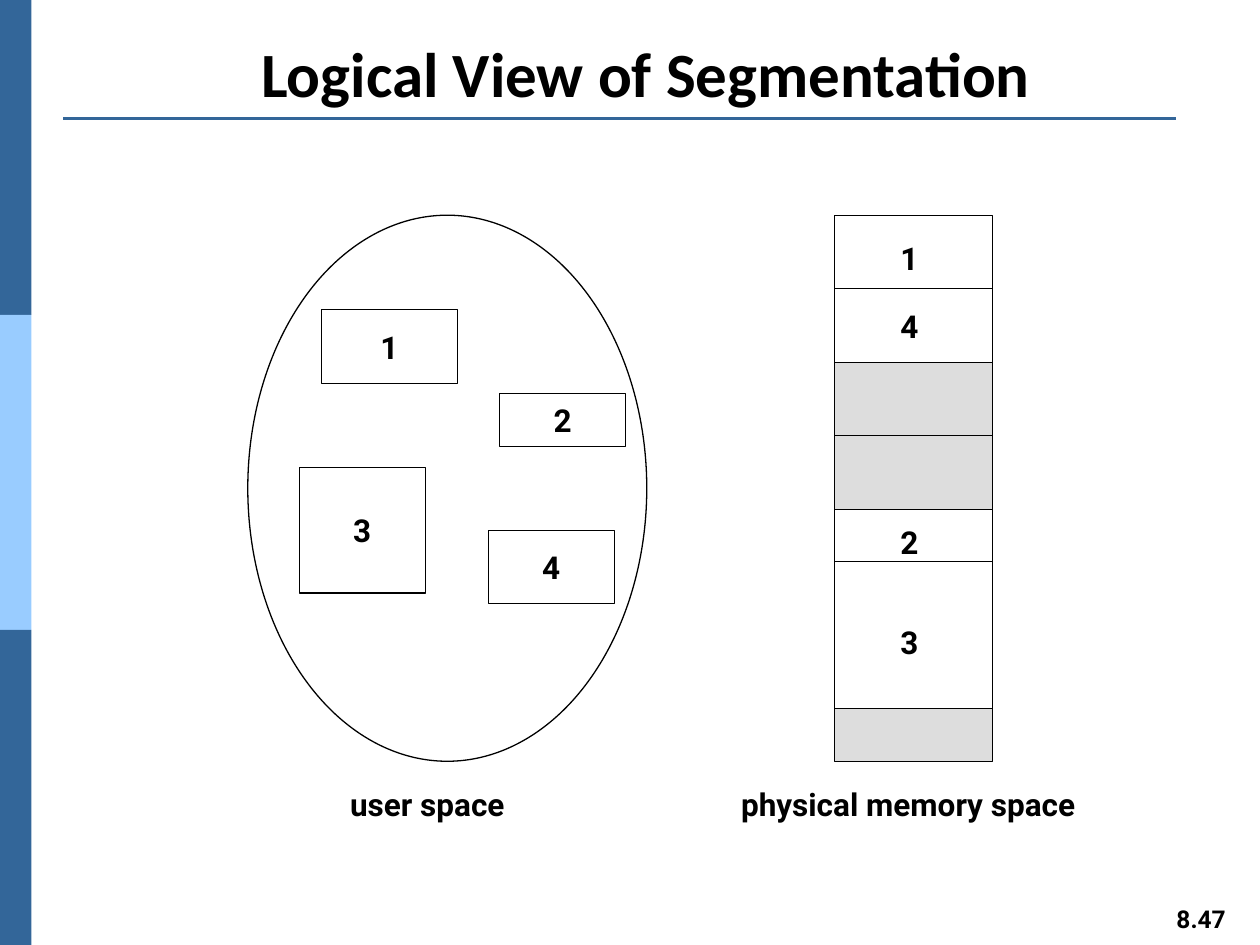
import pptx
import pptx.util
import pptx.dml.color
import pptx.enum.shapes
import pptx.enum.text
import lxml.etree

THEME = {
    "dark_blue": "336699", "light_blue": "99CCFF", "black": "000000",
    "white": "FFFFFF", "free_grey": "DDDDDD",
    "title": {"name": "Calibri", "size": pptx.util.Pt(36), "bold": True},
    "label": {"name": "Roboto", "size": pptx.util.Pt(18), "bold": True},
    "number": {"name": "Roboto", "size": pptx.util.Pt(14), "bold": True},
}
SHAPES = pptx.enum.shapes.MSO_SHAPE
ANCHOR = pptx.enum.text.MSO_ANCHOR

presentation = pptx.Presentation()
presentation.slide_width = pptx.util.Inches(10)
presentation.slide_height = pptx.util.Inches(7.5)
slide = presentation.slides.add_slide(presentation.slide_layouts[5])

# Grid of 120 columns by 90 rows
column = presentation.slide_width / 120
row = presentation.slide_height / 90


def write(shape, text, style, anchor=ANCHOR.MIDDLE, wrap=False):
    frame = shape.text_frame
    frame.text = text
    frame_format = {"word_wrap": wrap, "vertical_anchor": anchor,
                    "auto_size": pptx.enum.text.MSO_AUTO_SIZE.NONE}
    for name, value in frame_format.items():
        setattr(frame, name, value)
    paragraph = frame.paragraphs[0]
    paragraph.alignment = pptx.enum.text.PP_ALIGN.CENTER
    for name, value in THEME[style].items():
        setattr(paragraph.font, name, value)
    paragraph.font.color.rgb = pptx.dml.color.RGBColor.from_string(THEME["black"])


def draw(kind, left, top, width, height, fill, outlined=True):
    shape = slide.shapes.add_shape(kind, round(left * column), round(top * row),
                                   round(width * column), round(height * row))
    shape.shadow.inherit = False
    shape.fill.solid()
    shape.fill.fore_color.rgb = pptx.dml.color.RGBColor.from_string(THEME[fill])
    if outlined:
        shape.line.color.rgb = pptx.dml.color.RGBColor.from_string(THEME["black"])
        shape.line.width = pptx.util.Pt(0.75)
    else:
        shape.line.fill.background()
    return shape


# Side band in three equal parts
for index, fill in enumerate(("dark_blue", "light_blue", "dark_blue")):
    draw(SHAPES.RECTANGLE, 0, index * 30, 3, 30, fill, outlined=False)

# Title
title = slide.shapes.title
title_box = {"left": 7.5 * column, "top": 3.6 * row,
             "width": 108 * column, "height": 7.5 * row}
for name, value in title_box.items():
    setattr(title, name, round(value))
write(title, "Logical View of Segmentation", "title", ANCHOR.BOTTOM, wrap=True)

# User space: an ellipse holding the segments
draw(SHAPES.OVAL, 23.6, 20.5, 38, 52, "white")
segments = [
    ("1", 30.6, 29.5, 13, 7),
    ("3", 28.5, 44.5, 12, 12),
    ("2", 47.6, 37.5, 12, 5),
    ("4", 46.5, 50.5, 12, 7),
]
for text, left, top, width, height in segments:
    write(draw(SHAPES.RECTANGLE, left, top, width, height, "white"), text, "label")

# Physical memory: stacked blocks
memory_left, memory_top, memory_width = 79.5, 20.5, 15
top = memory_top
dividers = []
for height, fill, split in ((14, "white", 7), (14, "free_grey", 7),
                            (19, "white", 5), (5, "free_grey", None)):
    draw(SHAPES.RECTANGLE, memory_left, top, memory_width, height, fill)
    if split:
        dividers.append(top + split)
    top += height

# Title rule and memory dividers
memory_right = memory_left + memory_width
lines = [(6, 112, 11.3, "dark_blue", 1.5)]
lines += [(memory_left, memory_right, y, "black", 0.75) for y in dividers]
for start, end, y, color, width in lines:
    line = slide.shapes.add_connector(
        pptx.enum.shapes.MSO_CONNECTOR.STRAIGHT,
        round(start * column), round(y * row), round(end * column), round(y * row))
    line.line.color.rgb = pptx.dml.color.RGBColor.from_string(THEME[color])
    line.line.width = pptx.util.Pt(width)
    lxml.etree.SubElement(line._element.spPr, pptx.oxml.ns.qn("a:effectLst"))

# Labels, each placed by its centre
labels = [
    ("1", 86.6, 24.6, 4, 4.8, "label"),
    ("4", 86.6, 31, 4, 4.8, "label"),
    ("2", 86.6, 51.6, 4, 4.8, "label"),
    ("3", 86.6, 61.1, 4, 4.8, "label"),
    ("user space", 40.7, 76.6, 19, 4.8, "label"),
    ("physical memory space", 86.5, 76.6, 36.6, 4.8, "label"),
    ("8.47", 114.4, 87.5, 7.2, 4.1, "number"),
]
for text, center, middle, width, height, style in labels:
    box = slide.shapes.add_textbox(
        round((center - width / 2) * column), round((middle - height / 2) * row),
        round(width * column), round(height * row))
    write(box, text, style)

presentation.save("out.pptx")
